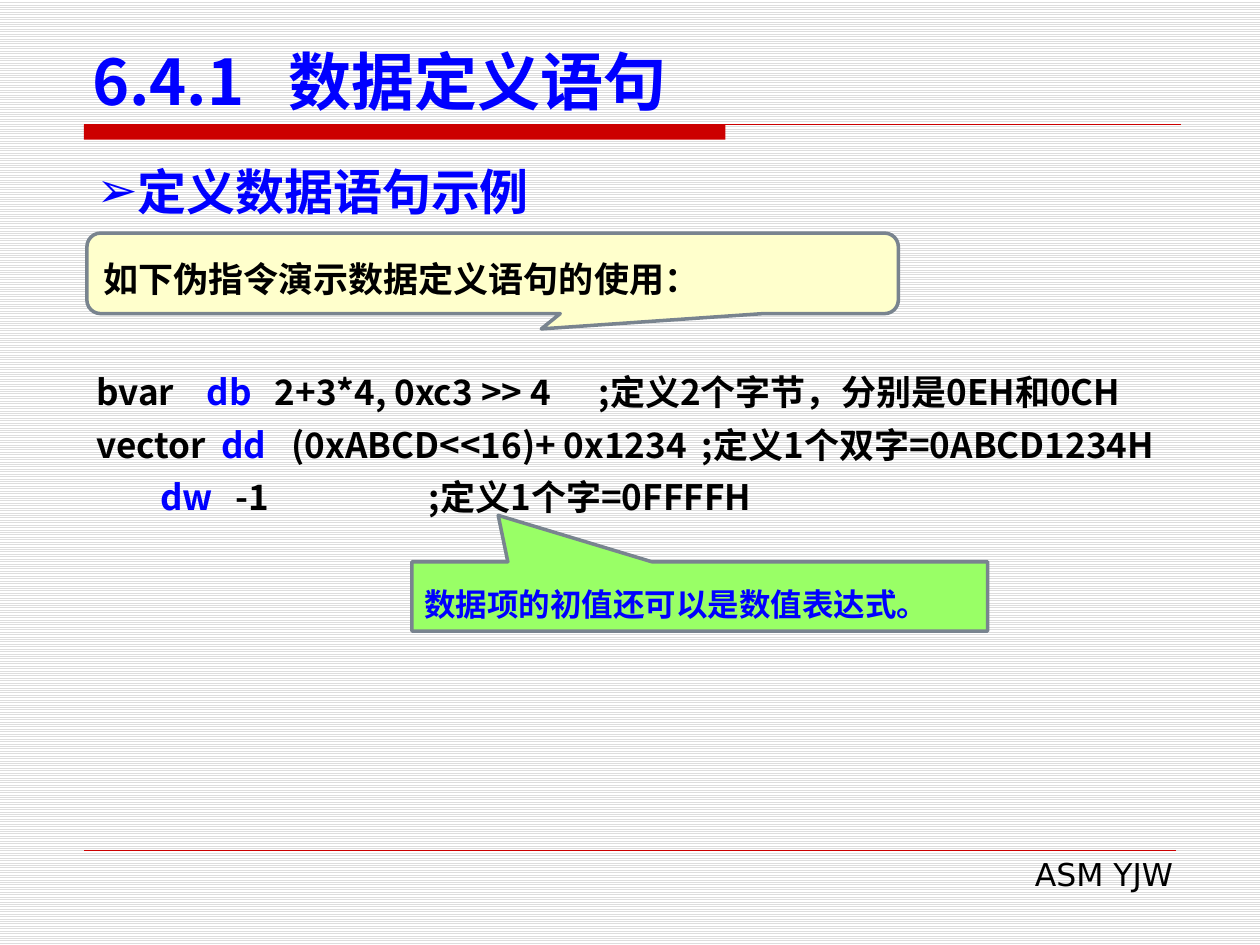
from pptx import Presentation
from pptx.dml.color import RGBColor
from pptx.enum.dml import MSO_PATTERN
from pptx.enum.shapes import MSO_CONNECTOR, MSO_SHAPE
from pptx.enum.text import MSO_ANCHOR, MSO_AUTO_SIZE, PP_ALIGN
from pptx.oxml.ns import qn
from pptx.util import Pt
from lxml import etree

LEFT, RIGHT = PP_ALIGN.LEFT, PP_ALIGN.RIGHT
TOP, MIDDLE, BOTTOM = MSO_ANCHOR.TOP, MSO_ANCHOR.MIDDLE, MSO_ANCHOR.BOTTOM
NO_AUTOFIT = MSO_AUTO_SIZE.NONE
STRAIGHT = MSO_CONNECTOR.STRAIGHT
RECTANGLE = MSO_SHAPE.RECTANGLE
ROUND_CALLOUT = MSO_SHAPE.ROUNDED_RECTANGULAR_CALLOUT
SQUARE_CALLOUT = MSO_SHAPE.RECTANGULAR_CALLOUT
LIGHT_HORIZONTAL = MSO_PATTERN.LIGHT_HORIZONTAL

CJK, SANS = "Noto Sans CJK SC", "DejaVu Sans"
BLACK, BLUE, RED, GREY = "000000", "0000FF", "CC0000", "79848F"


def color(value):
    return RGBColor.from_string(value)


class SlideBuilder:
    def __init__(self, slide):
        self.slide = slide

    def background(self, foreground, background):
        fill = self.slide.background.fill
        fill.patterned()
        fill.pattern = LIGHT_HORIZONTAL
        fill.fore_color.rgb = color(foreground)
        fill.back_color.rgb = color(background)

    def place(self, shape, box):
        shape.left, shape.top, shape.width, shape.height = map(Pt, box)

    def frame(self, shape, anchor):
        frame = shape.text_frame
        frame.word_wrap = True
        frame.auto_size = NO_AUTOFIT
        frame.vertical_anchor = anchor
        return frame

    def add_text(self, paragraph, runs, size, font, bold=True, align=LEFT, spacing=None, tabs=()):
        paragraph.alignment = align
        paragraph.space_before = Pt(0)
        if spacing:
            paragraph.line_spacing = Pt(spacing)
        if tabs:
            properties = paragraph._p.get_or_add_pPr()
            tab_list = etree.SubElement(properties, qn("a:tabLst"))
            for position in tabs:
                etree.SubElement(tab_list, qn("a:tab"), pos=str(Pt(position)), algn="l")
        for text, run_color in runs:
            run = paragraph.add_run()
            run.text = text
            run.font.size = Pt(size)
            run.font.bold = bold
            run.font.color.rgb = color(run_color)
            run.font.name = font
            etree.SubElement(run._r.get_or_add_rPr(), qn("a:ea"), typeface=font)

    def title(self, box, text, tab):
        shape = self.slide.shapes.title
        self.place(shape, box)
        paragraph = self.frame(shape, BOTTOM).paragraphs[0]
        self.add_text(paragraph, [(text, BLUE)], 36, CJK, tabs=[tab])

    def bullet(self, box, text, indent):
        shape = self.slide.placeholders[1]
        self.place(shape, box)
        paragraph = self.frame(shape, TOP).paragraphs[0]
        self.add_text(paragraph, [(text, BLUE)], 28, SANS)
        properties = paragraph._p.get_or_add_pPr()
        properties.set("marL", str(Pt(indent)))
        properties.set("indent", str(-Pt(indent)))
        etree.SubElement(properties, qn("a:buFont"), typeface=SANS)
        etree.SubElement(properties, qn("a:buChar"), char="➢")

    def text_box(self, box):
        shape = self.slide.shapes.add_textbox(*map(Pt, box))
        return self.frame(shape, TOP)

    def code(self, box, lines):
        frame = self.text_box(box)
        for index, (runs, tabs) in enumerate(lines):
            paragraph = frame.add_paragraph() if index else frame.paragraphs[0]
            self.add_text(paragraph, runs, 20, CJK, spacing=30, tabs=tabs)

    def footer(self, box, text):
        paragraph = self.text_box(box).paragraphs[0]
        self.add_text(paragraph, [(text, BLACK)], 18, SANS, bold=False, align=RIGHT)

    def shape(self, kind, box, fill):
        shape = self.slide.shapes.add_shape(kind, *map(Pt, box))
        shape.shadow.inherit = False
        shape.fill.solid()
        shape.fill.fore_color.rgb = color(fill)
        return shape

    def bar(self, box):
        self.shape(RECTANGLE, box, RED).line.fill.background()

    def callout(self, kind, box, adjustments, fill, text, size, font, text_color):
        shape = self.shape(kind, box, fill)
        shape.line.color.rgb = color(GREY)
        shape.line.width = Pt(2)
        for index, value in enumerate(adjustments):
            shape.adjustments[index] = value
        paragraph = self.frame(shape, MIDDLE).paragraphs[0]
        self.add_text(paragraph, [(text, text_color)], size, font, spacing=30)

    def rule(self, left, right, top, width):
        line = self.slide.shapes.add_connector(STRAIGHT, Pt(left), Pt(top), Pt(right), Pt(top))
        line.line.color.rgb = color(RED)
        line.line.width = Pt(width)
        etree.SubElement(line._element.spPr, qn("a:effectLst"))


def main():
    presentation = Presentation()
    presentation.slide_width, presentation.slide_height = Pt(720), Pt(540)
    slide = presentation.slides.add_slide(presentation.slide_layouts[1])
    builder = SlideBuilder(slide)
    builder.background("DDDDDD", "FFFFFF")
    builder.bar((48, 71.3, 366.5, 8.6))
    builder.rule(48, 674.6, 71.3, 0.75)
    builder.rule(48, 672, 486, 0.25)
    builder.footer((275, 485.3, 402.5, 29), "ASM YJW")
    builder.title((45.4, 23.8, 630, 47.5), "6.4.1\t数据定义语句", 112)
    builder.bullet((48, 88.6, 623.5, 41), "定义数据语句示例", 23)
    builder.code((48, 202.3, 652.3, 98), [
        ([("bvar\t", BLACK), ("db\t", BLUE),
          ("2+3*4, 0xc3 >> 4\t;定义2个字节，分别是0EH和0CH", BLACK)], (63, 102, 287)),
        ([("vector\t", BLACK), ("dd\t", BLUE),
          ("(0xABCD<<16)+ 0x1234\t;定义1个双字=0ABCD1234H", BLACK)], (71.5, 111.5, 346)),
        ([("\tdw\t", BLUE), ("-1\t;定义1个字=0FFFFH", BLACK)], (36.5, 79.5, 190)),
    ])
    builder.callout(ROUND_CALLOUT, (49.7, 133.2, 463.7, 46), (0.06, 0.69, 0.17), "FFFFCC",
                    "如下伪指令演示数据定义语句的使用：", 20, CJK, BLACK)
    builder.callout(SQUARE_CALLOUT, (235.4, 321, 329, 39.6), (-0.35, -1.17), "99FF66",
                    "数据项的初值还可以是数值表达式。", 18, SANS, BLUE)
    presentation.save("out.pptx")


if __name__ == "__main__":
    main()
